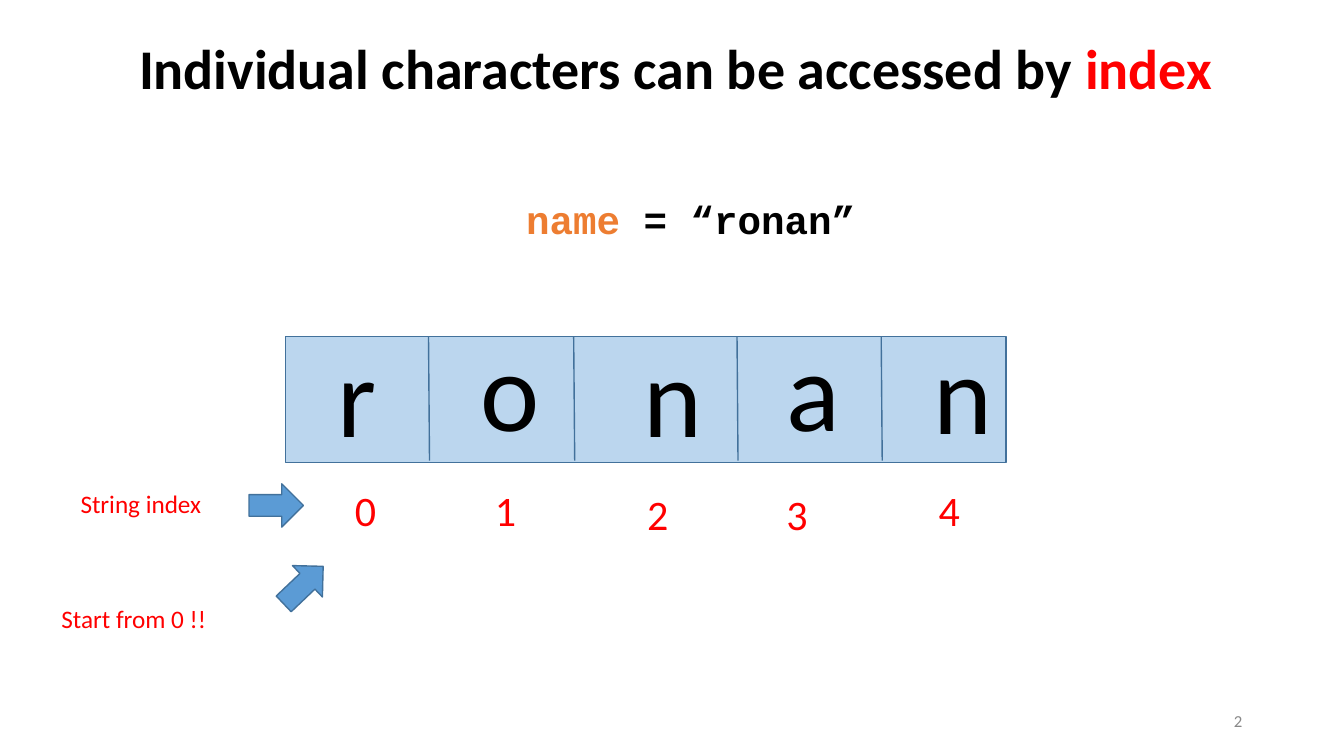
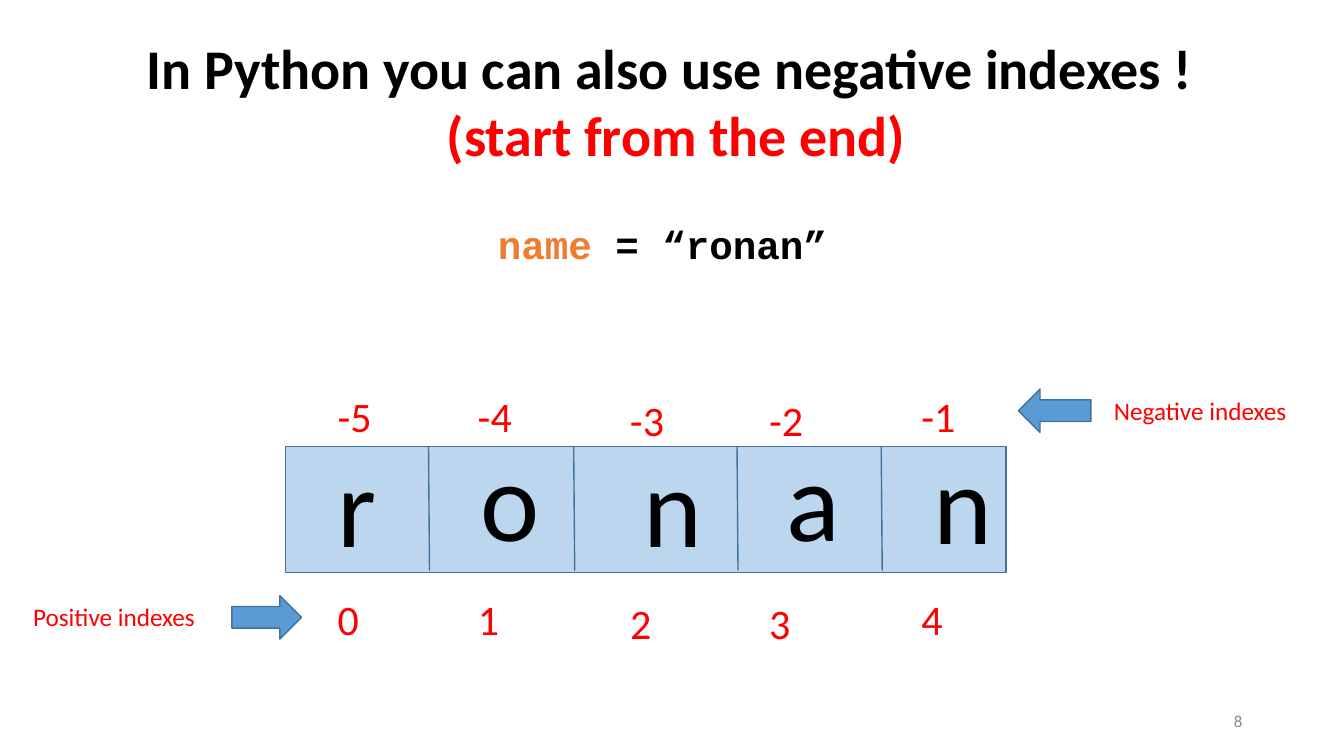
"""Build two slides that explain positive and negative string indexes."""
from lxml import etree
from pptx import Presentation
from pptx.dml.color import RGBColor
from pptx.enum.shapes import MSO_CONNECTOR, MSO_SHAPE
from pptx.enum.text import MSO_ANCHOR, PP_ALIGN
from pptx.oxml.ns import qn
from pptx.util import Inches, Pt

LEFT, CENTER, RIGHT = PP_ALIGN.LEFT, PP_ALIGN.CENTER, PP_ALIGN.RIGHT
TOP, MIDDLE = MSO_ANCHOR.TOP, MSO_ANCHOR.MIDDLE
RECT, STRAIGHT = MSO_SHAPE.RECTANGLE, MSO_CONNECTOR.STRAIGHT
RIGHT_ARROW, LEFT_ARROW = MSO_SHAPE.RIGHT_ARROW, MSO_SHAPE.LEFT_ARROW

COLORS = {
    "black": "000000", "red": "FF0000", "orange": "ED7D31", "gray": "888888",
    "cell": "BBD6EE", "arrow": "5B9BD5", "outline": "42719B",
}
LETTERS = [("r", 3.25, -0.16, 0.59), ("o", 4.67, -0.22, 0.79),
           ("n", 6.28, -0.16, 0.79), ("a", 7.7, -0.22, 0.74),
           ("n", 9.16, -0.19, 0.79)]
DIVIDERS = [4.25, 5.69, 7.31, 8.74]
INDEX_OFFSETS = [(0, 0), (1.39, 0), (2.9, 0.04), (4.28, 0.04), (5.79, 0)]

SLIDES = [
    {
        "title": [[("Individual characters can be accessed by ", "black"),
                   ("index", "red")]],
        "title_box": (1.22, 0.28, 10.96, 0.77),
        "number": "2",
        "code_at": (5.12, 1.89),
        "strip_top": 3.34,
        "indexes": [(range(5), 3.42, 4.76, 0.42)],
        "labels": [("String index", (0.7, 4.8, 1.41, 0.4)),
                   ("Start from 0 !!", (0.51, 5.94, 1.65, 0.4))],
        "arrows": [(RIGHT_ARROW, (2.47, 4.8, 0.54, 0.43), 0),
                   (RIGHT_ARROW, (2.74, 5.59, 0.54, 0.43), 316.4)],
    },
    {
        "title": [[("In Python you can also use negative indexes ! ", "black")],
                  [("(start from the end)", "red")]],
        "title_box": (1.26, 0.28, 10.89, 1.45),
        "number": "8",
        "code_at": (4.84, 2.14),
        "strip_top": 4.43,
        "indexes": [(range(-5, 0), 3.25, 3.82, 0.54),
                    (range(5), 3.25, 5.84, 0.42)],
        "labels": [("Negative indexes", (10.95, 3.87, 1.94, 0.4)),
                   ("Positive indexes", (0.23, 5.92, 1.83, 0.4))],
        "arrows": [(LEFT_ARROW, (10.1, 3.86, 0.72, 0.43), 0),
                   (RIGHT_ARROW, (2.3, 5.91, 0.69, 0.43), 0)],
    },
]


def write_text(sp, lines, size, font="Calibri", bold=False, align=LEFT, anchor=TOP):
    tf = sp.text_frame
    tf.word_wrap = False
    tf.vertical_anchor = anchor
    for i, line in enumerate(lines):
        p = tf.add_paragraph() if i else tf.paragraphs[0]
        p.alignment = align
        for text, color in line:
            r = p.add_run()
            r.text = text
            r.font.name, r.font.size, r.font.bold = font, Pt(size), bold
            r.font.color.rgb = RGBColor.from_string(COLORS[color])


def add_text(s, box, runs, size, **style):
    sp = s.shapes.add_textbox(*map(Inches, box))
    write_text(sp, [runs], size, **style)


prs = Presentation()
prs.slide_width, prs.slide_height = Inches(13.33), Inches(7.5)

for content in SLIDES:
    s = prs.slides.add_slide(prs.slide_layouts[5])
    top = content["strip_top"]

    title = s.shapes.title
    title.left, title.top, title.width, title.height = map(Inches, content["title_box"])
    write_text(title, content["title"], 40, bold=True, align=CENTER)
    add_text(s, (9.42, 6.95, 3, 0.4), [(content["number"], "gray")], 12,
             align=RIGHT, anchor=MIDDLE)
    add_text(s, (*content["code_at"], 3.49, 1.04),
             [("name ", "orange"), ("= “ronan”", "black")], 28,
             font="Courier New", bold=True)

    blocks = [(RECT, (2.83, top, 7.15, 1.25), 0, "cell")]
    blocks += [(*arrow, "arrow") for arrow in content["arrows"]]
    for kind, box, rotation, fill in blocks:
        sp = s.shapes.add_shape(kind, *map(Inches, box))
        sp.rotation = rotation
        sp.shadow.inherit = False
        sp.fill.solid()
        sp.fill.fore_color.rgb = RGBColor.from_string(COLORS[fill])
        sp.line.color.rgb = RGBColor.from_string(COLORS["outline"])
        sp.line.width = Pt(1)

    for x in DIVIDERS:
        divider = s.shapes.add_connector(
            STRAIGHT, Inches(x), Inches(top), Inches(x + 0.01), Inches(top + 1.23))
        divider.line.color.rgb = RGBColor.from_string(COLORS["outline"])
        divider.line.width = Pt(1)
        etree.SubElement(divider._element.spPr, qn("a:effectLst"))

    for letter, x, dy, width in LETTERS:
        add_text(s, (x, top + dy, width, 1.45), [(letter, "black")], 80)

    for values, x, y, width in content["indexes"]:
        for value, (dx, dy) in zip(values, INDEX_OFFSETS):
            add_text(s, (x + dx, y + dy, width, 0.61), [(str(value), "red")], 30)

    for text, box in content["labels"]:
        add_text(s, box, [(text, "red")], 18)

prs.save("out.pptx")
